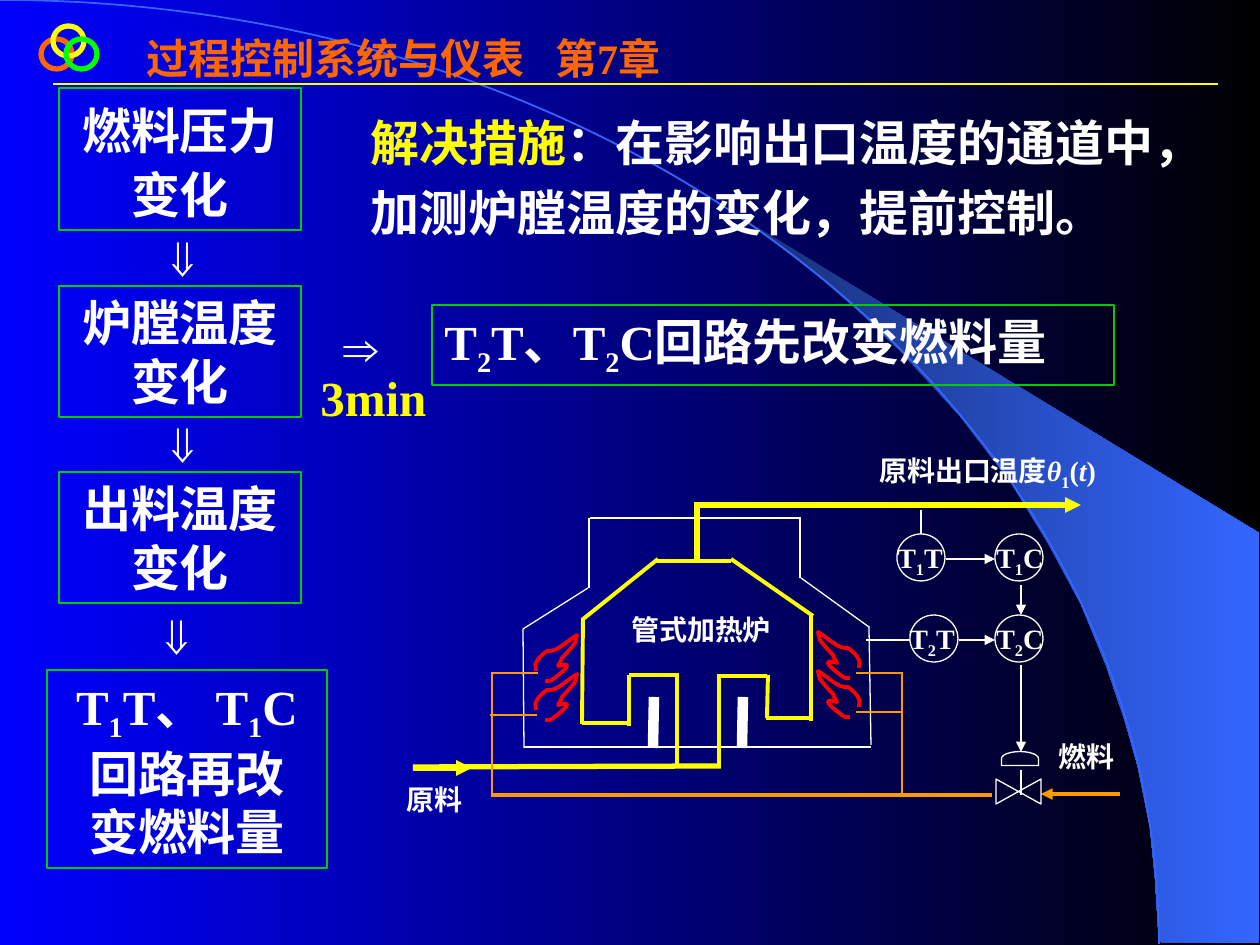
"""Build the furnace cascade control slide."""
from dataclasses import dataclass
from typing import NamedTuple

from lxml import etree
from pptx import Presentation
from pptx.dml.color import RGBColor
from pptx.enum.shapes import MSO_CONNECTOR, MSO_SHAPE
from pptx.enum.text import MSO_ANCHOR, MSO_AUTO_SIZE, PP_ALIGN
from pptx.oxml.ns import qn
from pptx.util import Emu, Pt

WHITE = RGBColor(0xFF, 0xFF, 0xFF)
BLACK = RGBColor(0x00, 0x00, 0x00)
BLUE = RGBColor(0x00, 0x00, 0xFF)
DEEP_BLUE = RGBColor(0x18, 0x2F, 0x76)
BRIGHT_BLUE = RGBColor(0x33, 0x66, 0xFF)
YELLOW = RGBColor(0xFF, 0xFF, 0x00)
ORANGE = RGBColor(0xFF, 0x99, 0x00)
DEEP_ORANGE = RGBColor(0xFF, 0x66, 0x00)
RED = RGBColor(0xFF, 0x00, 0x00)
GREEN = RGBColor(0x00, 0xCC, 0x00)
LIME = RGBColor(0x00, 0xFF, 0x00)

RECTANGLE, OVAL = MSO_SHAPE.RECTANGLE, MSO_SHAPE.OVAL
COLLATE, DELAY = MSO_SHAPE.FLOWCHART_COLLATE, MSO_SHAPE.FLOWCHART_DELAY
STRAIGHT = MSO_CONNECTOR.STRAIGHT
LEFT, CENTER = PP_ALIGN.LEFT, PP_ALIGN.CENTER
TOP, NO_FIT = MSO_ANCHOR.TOP, MSO_AUTO_SIZE.NONE

EMU_PER_PX = 914400 / 126
SERIF, SANS = "Times New Roman", "Arial"

BLADE = [(1159, 942), (1259, 943), (1259, 533), (742, 218), (786, 251), (823, 280),
         (863, 315), (902, 353), (960, 416), (1012, 484), (1048, 543), (1081, 604),
         (1106, 665), (1125, 721), (1138, 767), (1150, 827), (1155, 877), (1159, 942)]
ARC = [(0, 0), (640, 0), (1159, 422), (1159, 944)]
FLAME = [(32, 46), (30, 46), (29, 47), (25, 45), (1, 27), (11, 29), (19, 31),
         (17, 28), (16, 26), (15, 23), (14, 22), (2, 9), (2, 8), (1, 6), (1, 3),
         (0, 0), (14, 9), (20, 17), (30, 16), (34, 19), (39, 23), (41, 28),
         (43, 30), (40, 33), (41, 36)]


class Run(NamedTuple):
    text: str
    colour: RGBColor | None = None
    italic: bool = False
    baseline: int = 0
    tracking: int = 0


class Box(NamedTuple):
    left: int
    top: int
    width: int
    height: int


@dataclass(frozen=True)
class Piping:
    colour: RGBColor
    width: float
    segments: list[tuple[int, int, int, int]]
    arrow: bool = False


@dataclass(frozen=True)
class Step:
    box: Box
    paragraphs: list
    align: PP_ALIGN = CENTER
    spacing: float = 1.0


@dataclass(frozen=True)
class Instrument:
    loop: str
    role: str
    label_left: int
    circle_left: int
    top: int


def sub(digit: str) -> Run:
    return Run(digit, baseline=-25000)


PIPINGS = [
    Piping(YELLOW, 1.5, [(53, 84, 1218, 84)]),
    Piping(WHITE, 0.75, [
        (590, 518, 801, 518), (589, 518, 589, 588), (800, 518, 800, 578),
        (523, 629, 524, 748), (523, 629, 588, 588), (869, 627, 801, 578),
        (524, 747, 871, 747), (869, 626, 871, 745), (921, 510, 921, 534),
        (1021, 770, 1021, 795), (866, 640, 910, 640)]),
    Piping(WHITE, 6, [(742, 748, 743, 697), (653, 748, 654, 697)]),
    Piping(YELLOW, 2.25, [
        (582, 724, 583, 619), (582, 620, 658, 559), (731, 559, 813, 616),
        (629, 726, 629, 675), (629, 675, 678, 675), (677, 673, 677, 767),
        (767, 718, 768, 675), (718, 676, 767, 676), (719, 674, 719, 767),
        (766, 718, 811, 718), (811, 721, 811, 614), (582, 723, 629, 723),
        (654, 561, 731, 561)]),
    Piping(YELLOW, 3, [(697, 503, 697, 562), (413, 767, 721, 766)]),
    Piping(YELLOW, 3, [(694, 505, 1081, 505), (413, 768, 472, 768)], arrow=True),
    Piping(ORANGE, 1, [(901, 712, 856, 712), (902, 673, 856, 673),
                       (537, 715, 490, 715), (538, 673, 491, 673)]),
    Piping(ORANGE, 1.5, [(902, 672, 902, 794), (492, 673, 492, 795)]),
    Piping(ORANGE, 2.25, [(491, 795, 992, 795)]),
    Piping(ORANGE, 2.25, [(1120, 794, 1041, 794)], arrow=True),
    Piping(WHITE, 0.75, [(946, 559, 995, 559), (959, 640, 995, 640),
                         (1021, 665, 1021, 752), (1021, 585, 1021, 615)], arrow=True),
]
STEPS = [
    Step(Box(59, 88, 242, 142), ["燃料压力", "变化"], spacing=1.1),
    Step(Box(59, 286, 242, 131), ["炉膛温度", "变化"]),
    Step(Box(59, 472, 242, 131), ["出料温度变化"]),
    Step(Box(47, 670, 280, 198),
         [[Run("T"), sub("1"), Run("T、 T"), sub("1"), Run("C回路再改")], "变燃料量"]),
    Step(Box(432, 305, 682, 80),
         [[Run("T"), sub("2"), Run("T、T"), sub("2"), Run("C回路先改变燃料量")]], LEFT),
]
INSTRUMENTS = [Instrument("1", "T", 885, 897, 534), Instrument("1", "C", 984, 995, 534),
               Instrument("2", "T", 897, 910, 615), Instrument("2", "C", 984, 995, 615)]
ARROWS = [(Box(331, 311, 64, 72), 0), (Box(156, 226, 64, 72), 90),
          (Box(156, 412, 64, 72), 90), (Box(150, 604, 64, 72), 90)]
CAPTIONS = [
    (Box(867, 447, 277, 49), [Run("原料出口温度"), Run("θ", italic=True), sub("1"),
                              Run("("), Run("t", italic=True), Run(")")]),
    (Box(394, 776, 91, 47), "原料"),
    (Box(1046, 733, 87, 43), "燃料"),
    (Box(619, 606, 169, 52), "管式加热炉"),
]
RINGS = [(41, 39, DEEP_ORANGE), (53, 26, YELLOW), (66, 39, LIME)]


def px(length: int) -> Emu:
    return Emu(round(length * EMU_PER_PX))


def emu(box: Box) -> list[Emu]:
    return [px(length) for length in box]


def write_text(frame, paragraphs, *, size=28, font=SERIF, colour=WHITE, align=LEFT,
               spacing=1.0, wrap=True) -> None:
    frame.auto_size, frame.word_wrap, frame.vertical_anchor = NO_FIT, wrap, TOP
    for index, content in enumerate(paragraphs):
        paragraph = frame.add_paragraph() if index else frame.paragraphs[0]
        properties = paragraph._p.get_or_add_pPr()
        properties.set("marL", "0")
        properties.set("indent", "0")
        etree.SubElement(properties, qn("a:buNone"))
        paragraph.alignment, paragraph.line_spacing = align, spacing
        paragraph.space_before = Pt(0)
        for piece in [Run(content)] if isinstance(content, str) else content:
            run = paragraph.add_run()
            run.text = piece.text
            run.font.name, run.font.size, run.font.bold = font, Pt(size), True
            run.font.color.rgb = piece.colour or colour
            run.font.italic = piece.italic
            for name, value in (("baseline", piece.baseline), ("spc", piece.tracking)):
                if value:
                    run._r.get_or_add_rPr().set(name, str(value))


def add_label(slide, box: Box, paragraphs, *, rotation=0, **text_format) -> None:
    label = slide.shapes.add_textbox(*emu(box))
    label.rotation = rotation
    write_text(label.text_frame, paragraphs, **text_format)


def add_outline(slide, kind, box: Box, colour, width=0.75, rotation=0):
    shape = slide.shapes.add_shape(kind, *emu(box))
    shape.shadow.inherit = False
    shape.fill.background()
    shape.line.color.rgb, shape.line.width = colour, Pt(width)
    shape.rotation = rotation
    return shape


def add_piping(slide, piping: Piping) -> None:
    for segment in piping.segments:
        pipe = slide.shapes.add_connector(STRAIGHT, *[px(end) for end in segment])
        pipe.line.color.rgb, pipe.line.width = piping.colour, Pt(piping.width)
        if piping.arrow:
            etree.SubElement(pipe.line._get_or_add_ln(), qn("a:tailEnd"), type="triangle")
        etree.SubElement(pipe._element.spPr, qn("a:effectLst"))


def add_polygon(slide, points, closed=True):
    builder = slide.shapes.build_freeform(*points[0], scale=EMU_PER_PX)
    builder.add_line_segments(points[1:], close=closed)
    shape = builder.convert_to_shape()
    shape.shadow.inherit = False
    shape.fill.background()
    shape.line.fill.background()
    return shape


def add_curve(slide, points, colour: RGBColor, width: float) -> None:
    shape = add_polygon(slide, points, closed=False)
    shape.line.color.rgb, shape.line.width = colour, Pt(width)
    outline = next(shape._element.iter(qn("a:path")))
    controls = outline.findall(qn("a:lnTo"))
    for first in range(0, len(controls), 3):
        cubic = etree.SubElement(outline, qn("a:cubicBezTo"))
        for control in controls[first:first + 3]:
            cubic.append(control[0])
            outline.remove(control)


def set_gradient(fill, *colours: RGBColor) -> None:
    fill.gradient()
    fill.gradient_angle = 0
    for position, (stop, colour) in enumerate(zip(fill.gradient_stops, colours)):
        stop.color.rgb, stop.position = colour, position


def add_heading(placeholder, box: Box, paragraphs, **text_format) -> None:
    placeholder.left, placeholder.top, placeholder.width, placeholder.height = emu(box)
    write_text(placeholder.text_frame, paragraphs, **text_format)
    placeholder._element.getparent().append(placeholder._element)


def main() -> None:
    presentation = Presentation()
    presentation.slide_width, presentation.slide_height = px(1260), px(945)
    slide = presentation.slides.add_slide(presentation.slide_layouts[1])
    set_gradient(slide.background.fill, BLUE, BLACK)
    set_gradient(add_polygon(slide, BLADE).fill, DEEP_BLUE, BRIGHT_BLUE)
    add_curve(slide, ARC, BRIGHT_BLUE, 1)
    for left, top, colour in RINGS:
        add_outline(slide, OVAL, Box(left, top, 31, 30), colour, 3)
    add_heading(slide.shapes.title, Box(134, 26, 566, 113),
                [[Run("过程控制系统与仪表"), Run(" ", tracking=1200), Run("第7章")]],
                size=24, colour=DEEP_ORANGE)
    add_heading(slide.placeholders[1], Box(358, 94, 862, 154),
                [[Run("解决措施", YELLOW),
                  Run("：在影响出口温度的通道中，加测炉膛温度的变化，提前控制。")]], spacing=1.2)
    for step in STEPS:
        frame = add_outline(slide, RECTANGLE, step.box, GREEN).text_frame
        write_text(frame, step.paragraphs, align=step.align, spacing=step.spacing)
    for box, rotation in ARROWS:
        add_label(slide, box, ["⇒"], rotation=rotation, font=SANS, wrap=False)
    add_label(slide, Box(308, 361, 131, 72), ["3min"], colour=YELLOW, wrap=False)
    for piping in PIPINGS:
        add_piping(slide, piping)
    for drop in (0, 39):
        for origin, top, side in ((818, 632, 1), (577, 635, -1)):
            flame = [(origin + side * x, top + drop + y) for x, y in FLAME]
            add_curve(slide, flame, RED, 2.25)
    add_outline(slide, COLLATE, Box(1006, 769, 25, 45), WHITE, rotation=270)
    add_outline(slide, DELAY, Box(1013, 740, 14, 37), WHITE, rotation=270)
    for item in INSTRUMENTS:
        add_outline(slide, OVAL, Box(item.circle_left, item.top, 48, 47), WHITE)
        add_label(slide, Box(item.label_left, item.top, 76, 42),
                  [[Run("T"), sub(item.loop), Run(item.role)]], size=16)
    for box, caption in CAPTIONS:
        add_label(slide, box, [caption], size=16)
    presentation.save("out.pptx")


if __name__ == "__main__":
    main()
